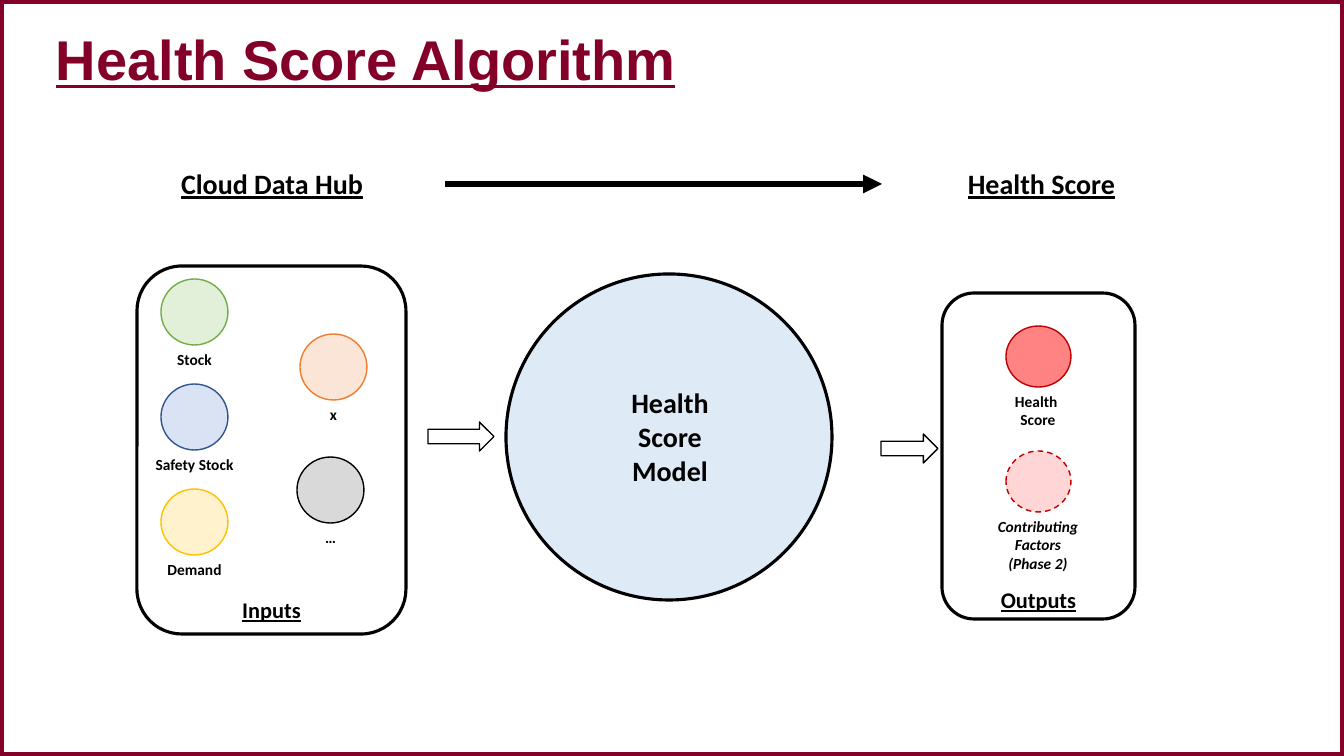
from dataclasses import dataclass
from typing import NamedTuple

from lxml import etree
from pptx import Presentation
from pptx.dml.color import RGBColor
from pptx.enum.dml import MSO_LINE
from pptx.enum.shapes import MSO_CONNECTOR, MSO_SHAPE
from pptx.enum.text import MSO_ANCHOR, PP_ALIGN
from pptx.oxml.ns import qn
from pptx.util import Emu, Pt

RECT, ROUND, OVAL = MSO_SHAPE.RECTANGLE, MSO_SHAPE.ROUNDED_RECTANGLE, MSO_SHAPE.OVAL
ARROW, NODE = MSO_SHAPE.RIGHT_ARROW, MSO_SHAPE.FLOWCHART_CONNECTOR
STRAIGHT, DASH = MSO_CONNECTOR.STRAIGHT, MSO_LINE.DASH
LEFT, CENTER = PP_ALIGN.LEFT, PP_ALIGN.CENTER
TOP, MIDDLE = MSO_ANCHOR.TOP, MSO_ANCHOR.MIDDLE
PX = 914400 / 100.8


@dataclass(frozen=True)
class Theme:
    brand: str = "830028"
    ink: str = "000000"
    model: str = "DEEBF7"
    red: str = "FF0909"
    red_line: str = "C00000"
    head_font: str = "Arial"
    body_font: str = "Calibri"
    title: int = 40
    heading: int = 20
    caption: int = 16
    label: int = 11
    frame: float = 6
    flow: float = 4.5
    outline: float = 2.25
    thin: float = 1


class Box(NamedTuple):
    x: int
    y: int
    w: int
    h: int


class Dot(NamedTuple):
    box: Box
    lines: tuple[str, ...]
    label_w: int
    label_h: int
    fill: str
    line: str
    alpha: int = 100
    phase2: bool = False


class Panel(NamedTuple):
    box: Box
    heading: str
    heading_box: Box
    caption: str
    caption_box: Box
    dots: tuple[Dot, ...]


T = Theme()
BODY = {"name": T.body_font, "bold": True}
HEADING = BODY | {"size": Pt(T.heading), "underline": True}
CAPTION = BODY | {"size": Pt(T.caption), "underline": True}
LABEL = BODY | {"size": Pt(T.label)}
MODEL = BODY | {"size": Pt(T.heading)}
TITLE = {"name": T.head_font, "bold": True, "size": Pt(T.title), "underline": True}


def px(n: float) -> Emu:
    return Emu(round(n * PX))


def add_shape(kind: int, box: Box, line: str, width: float,
              fill: str | None = None, alpha: int = 100, dashed: bool = False) -> None:
    s = slide.shapes.add_shape(kind, *map(px, box))
    s.shadow.inherit = False
    if fill:
        s.fill.solid()
        s.fill.fore_color.rgb = RGBColor.from_string(fill)
        if alpha < 100:
            clr = s.fill._xPr.find(".//" + qn("a:srgbClr"))
            etree.SubElement(clr, qn("a:alpha"), val=str(alpha * 1000))
    else:
        s.fill.background()
    s.line.color.rgb = RGBColor.from_string(line)
    s.line.width = Pt(width)
    if dashed:
        s.line.dash_style = DASH


def add_text(box: Box, lines: tuple[str, ...], font: dict, color: str = T.ink,
             align: int = CENTER, anchor: int = TOP, spacing: float = 1.0) -> None:
    tf = slide.shapes.add_textbox(*map(px, box)).text_frame
    tf.word_wrap = True
    tf.vertical_anchor = anchor
    for i, line in enumerate(lines):
        p = tf.add_paragraph() if i else tf.paragraphs[0]
        p.alignment, p.line_spacing = align, spacing
        r = p.add_run()
        r.text = line
        for key, value in font.items():
            setattr(r.font, key, value)
        r.font.color.rgb = RGBColor.from_string(color)


def add_flow(x1: int, x2: int, y: int) -> None:
    c = slide.shapes.add_connector(STRAIGHT, px(x1), px(y), px(x2), px(y))
    c.line.color.rgb = RGBColor.from_string(T.ink)
    c.line.width = Pt(T.flow)
    etree.SubElement(c.line._get_or_add_ln(), qn("a:tailEnd"), type="triangle")
    etree.SubElement(c._element.spPr, qn("a:effectLst"))


def add_dot(dot: Dot) -> None:
    b = dot.box
    add_shape(OVAL, b, dot.line, T.thin, dot.fill, dot.alpha, dot.phase2)
    label = Box(b.x + (b.w - dot.label_w) // 2, b.y + b.h, dot.label_w, dot.label_h)
    add_text(label, dot.lines, LABEL | {"italic": dot.phase2})


def add_panel(panel: Panel) -> None:
    add_text(panel.heading_box, (panel.heading,), HEADING)
    for dot in panel.dots:
        add_dot(dot)
    add_text(panel.caption_box, (panel.caption,), CAPTION)
    add_shape(ROUND, panel.box, T.ink, T.outline)


def input_dot(x: int, y: int, name: str, fill: str, line: str) -> Dot:
    return Dot(Box(x, y, 67, 66), (name,), 111, 29, fill, line)


# Input and output panels
STOCK_ROWS = (("Stock", "E2F0D9", "70AD47"),
              ("Safety Stock", "DAE3F3", "325491"),
              ("Demand", "FFF2CC", "FFC000"))
INPUTS = Panel(
    Box(137, 266, 269, 368), "Cloud Data Hub", Box(169, 162, 206, 44),
    "Inputs", Box(205, 591, 133, 38),
    (*(input_dot(161, 279 + 105 * i, *row) for i, row in enumerate(STOCK_ROWS)),
     input_dot(300, 334, "x", "FBE5D6", "ED7D31"),
     input_dot(297, 457, "…", "D9D9D9", T.ink)))
OUTPUTS = Panel(
    Box(942, 293, 193, 326), "Health Score", Box(953, 162, 177, 44),
    "Outputs", Box(972, 581, 133, 38),
    (Dot(Box(1006, 326, 65, 61), ("Health ", "Score"), 86, 47,
         T.red, T.red_line, 50),
     Dot(Box(1006, 451, 65, 61), ("Contributing Factors (Phase 2)",), 108, 67,
         T.red, T.red_line, 17, True)))

prs = Presentation()
prs.slide_width, prs.slide_height = px(1344), px(756)
slide = prs.slides.add_slide(prs.slide_layouts[6])

# Frame and title
add_shape(RECT, Box(0, 0, 1344, 756), T.brand, T.frame)
add_text(Box(46, 15, 1253, 94), ("Health Score Algorithm",), TITLE, T.brand,
         LEFT, MIDDLE, 0.9)

# Model
add_shape(NODE, Box(506, 274, 326, 326), T.ink, T.outline, T.model)
add_text(Box(594, 381, 152, 112), ("Health Score Model",), MODEL)

# Panels
for panel in (INPUTS, OUTPUTS):
    add_panel(panel)

# Arrows
add_flow(445, 882, 184)
for box in (Box(428, 422, 66, 29), Box(881, 434, 57, 29)):
    add_shape(ARROW, box, T.ink, T.thin)

prs.save("out.pptx")
